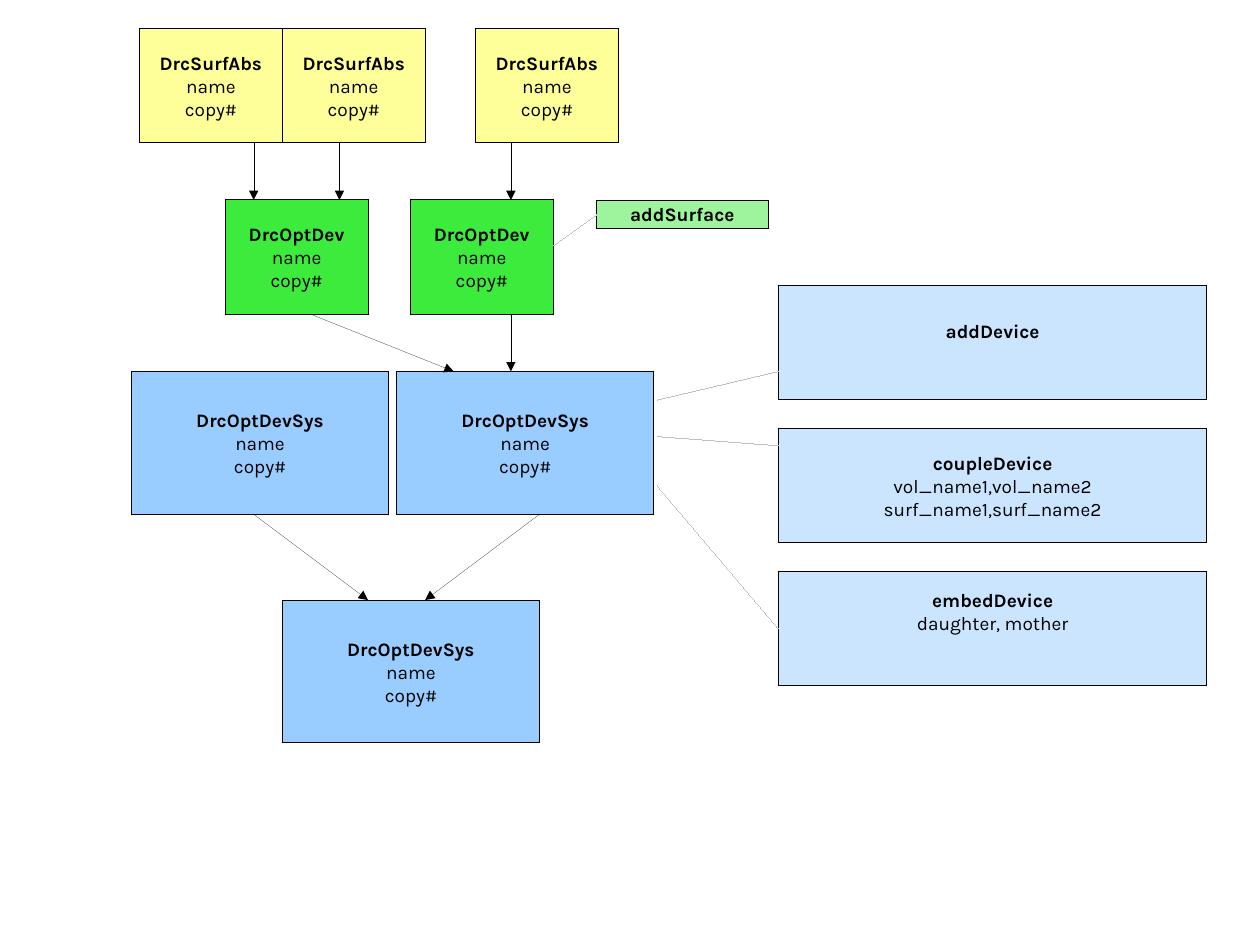
"""Draw the class diagram of surfaces, devices and device systems."""
from dataclasses import dataclass

import lxml.etree
import pptx
import pptx.dml.color
import pptx.enum.shapes
import pptx.enum.text
import pptx.oxml.ns
import pptx.slide
import pptx.util

Inches = pptx.util.Inches
RGBColor = pptx.dml.color.RGBColor
qn = pptx.oxml.ns.qn

YELLOW = RGBColor(0xFF, 0xFF, 0x99)
GREEN = RGBColor(0x3D, 0xEB, 0x3D)
BLUE = RGBColor(0x99, 0xCC, 0xFF)
GRAY = RGBColor(0xC0, 0xC0, 0xC0)
BLACK = RGBColor(0, 0, 0)
FIELDS = ("name", "copy#")
CM = 1 / 2.54


@dataclass(frozen=True)
class Box:
    left: float
    top: float
    width: float
    height: float
    fill: RGBColor
    title: str
    rows: tuple[str, ...] = FIELDS
    faint: bool = False
    bottom: float = 0.05


@dataclass(frozen=True)
class Link:
    x1: float
    y1: float
    x2: float
    y2: float
    color: RGBColor = BLACK
    arrow: bool = True


BOXES = [
    *(Box(x, 0.25, 1.25, 1, YELLOW, "DrcSurfAbs") for x in (1.22, 2.47, 4.16)),
    *(Box(x, 1.75, 1.25, 1, GREEN, "DrcOptDev") for x in (1.97, 3.59)),
    *(Box(x, y, 2.25, 1.25, BLUE, "DrcOptDevSys")
      for x, y in ((1.15, 3.25), (3.47, 3.25), (2.47, 5.25))),
    Box(5.22, 1.75, 1.5, 0.25, GREEN, "addSurface", (), True),
    Box(6.81, 2.5, 3.75, 1, BLUE, "addDevice", (), True, 0.25),
    Box(6.81, 3.75, 3.75, 1, BLUE, "coupleDevice",
        ("vol_name1,vol_name2", "surf_name1,surf_name2"), True),
    Box(6.81, 5, 3.75, 1, BLUE, "embedDevice", ("daughter, mother",), True, 0.35),
]

LINKS = [
    *(Link(x, 1.25, x, 1.75) for x in (2.22, 2.97, 4.47)),
    Link(2.72, 2.75, 3.97, 3.25),
    Link(4.47, 2.75, 4.47, 3.25),
    Link(2.22, 4.5, 3.22, 5.25),
    Link(4.72, 4.5, 3.72, 5.25),
    Link(5.22, 1.88, 4.84, 2.15, GRAY, False),
    Link(5.75, 3.5, 6.81, 3.25, GRAY, False),
    Link(5.75, 3.82, 6.81, 3.9, GRAY, False),
    Link(5.75, 4.25, 6.81, 5.5, GRAY, False),
]


def draw_box(slide: pptx.slide.Slide, box: Box) -> None:
    shape = slide.shapes.add_shape(
        pptx.enum.shapes.MSO_SHAPE.RECTANGLE, Inches(box.left), Inches(box.top),
        Inches(box.width), Inches(box.height))
    shape.shadow.inherit = False
    shape.fill.solid()
    shape.fill.fore_color.rgb = box.fill
    props = shape.element.spPr
    if box.faint:
        tint = props.find(f"{qn('a:solidFill')}/{qn('a:srgbClr')}")
        lxml.etree.SubElement(tint, qn("a:alpha"), val="50000")
    shape.line.color.rgb = BLACK
    props.find(qn("a:ln")).set("w", "0")

    frame = shape.text_frame
    frame.word_wrap = True
    frame.vertical_anchor = pptx.enum.text.MSO_ANCHOR.MIDDLE
    frame.margin_left = frame.margin_right = Inches(0.1)
    frame.margin_top = Inches(0.05)
    frame.margin_bottom = Inches(box.bottom)
    for i, text in enumerate((box.title, *box.rows)):
        para = frame.add_paragraph() if i else frame.paragraphs[0]
        para.alignment = pptx.enum.text.PP_ALIGN.CENTER
        run = para.add_run()
        run.text = text
        run.font.name = "Karla"
        run.font.size = pptx.util.Pt(12)
        run.font.bold = i == 0
        run.font.color.rgb = BLACK


def draw_link(slide: pptx.slide.Slide, link: Link) -> None:
    line = slide.shapes.add_connector(
        pptx.enum.shapes.MSO_CONNECTOR.STRAIGHT, Inches(link.x1), Inches(link.y1),
        Inches(link.x2), Inches(link.y2))
    line.line.color.rgb = link.color
    props = line.element.spPr
    stroke = props.find(qn("a:ln"))
    stroke.set("w", "0")
    if link.arrow:
        lxml.etree.SubElement(stroke, qn("a:tailEnd"), type="triangle")
    lxml.etree.SubElement(props, qn("a:effectLst"))


def main() -> None:
    deck = pptx.Presentation()
    deck.slide_width = Inches(28 * CM)
    deck.slide_height = Inches(21 * CM)
    slide = deck.slides.add_slide(deck.slide_layouts[6])
    for box in BOXES:
        draw_box(slide, box)
    for link in LINKS:
        draw_link(slide, link)
    deck.save("out.pptx")


if __name__ == "__main__":
    main()
